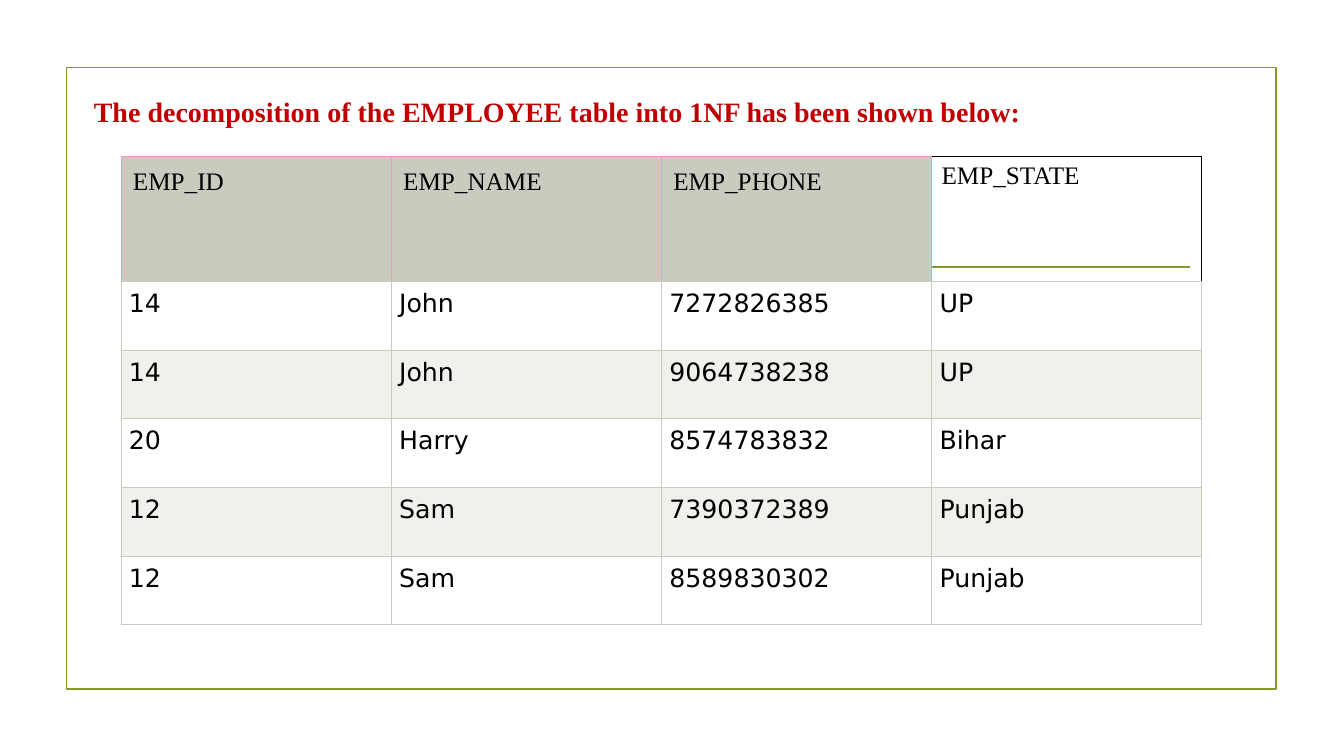
from dataclasses import dataclass

from lxml.etree import SubElement
from pptx import Presentation
from pptx.dml.color import RGBColor
from pptx.enum.shapes import MSO_CONNECTOR, MSO_SHAPE
from pptx.enum.text import MSO_ANCHOR, MSO_AUTO_SIZE, PP_ALIGN
from pptx.oxml.ns import qn
from pptx.util import Cm, Pt


@dataclass(frozen=True)
class Theme:
    olive: str = "83992A"
    red: str = "C00000"
    black: str = "000000"
    white: str = "FFFFFF"
    sage: str = "C7CCBE"
    pale: str = "EFF1EB"
    pink: str = "F095CF"
    serif: str = "Times New Roman"
    sans: str = "DejaVu Sans"
    head: int = 20
    body: int = 18
    rule: float = 1.25
    thin: float = 0.75


THEME = Theme()
TITLE = "The decomposition of the EMPLOYEE table into 1NF has been shown below:"
ROWS = [
    ("EMP_ID", "EMP_NAME", "EMP_PHONE", "EMP_STATE"),
    ("14", "John", "7272826385", "UP"),
    ("14", "John", "9064738238", "UP"),
    ("20", "Harry", "8574783832", "Bihar"),
    ("12", "Sam", "7390372389", "Punjab"),
    ("12", "Sam", "8589830302", "Punjab"),
]
GRID = dict.fromkeys("LRTB", THEME.sage)
HEAD = {"L": THEME.pink, "R": THEME.pink, "T": THEME.pink, "B": THEME.sage}
STATE = {"L": THEME.pink, "R": THEME.black, "T": THEME.black, "B": THEME.sage}


def apply(item, values):
    for name, value in values.items():
        setattr(item, name, value)


def style(font, face, size, color, bold=False):
    apply(font, {"name": face, "size": Pt(size), "bold": bold})
    font.color.rgb = RGBColor.from_string(color)


def stroke(line):
    line.color.rgb = RGBColor.from_string(THEME.olive)
    line.width = Pt(THEME.rule)


def add_frame(slide):
    frame = slide.shapes.add_shape(
        MSO_SHAPE.RECTANGLE, Cm(1.68), Cm(1.7), Cm(30.48), Cm(15.67))
    frame.shadow.inherit = False
    frame.fill.background()
    stroke(frame.line)


def add_rule(slide):
    rule = slide.shapes.add_connector(
        MSO_CONNECTOR.STRAIGHT, Cm(3.89), Cm(6.73), Cm(30), Cm(6.73))
    stroke(rule.line)
    SubElement(rule.element.spPr, qn("a:effectLst"))


def set_title(slide):
    title = slide.shapes.title
    slide.shapes.element.append(title.element)
    apply(title, {"left": Cm(2.11), "top": Cm(1.93),
                  "width": Cm(28.17), "height": Cm(1.73)})
    frame = title.text_frame
    frame.text = TITLE
    apply(frame, {"word_wrap": True, "auto_size": MSO_AUTO_SIZE.NONE,
                  "vertical_anchor": MSO_ANCHOR.MIDDLE})
    line = frame.paragraphs[0]
    line.alignment = PP_ALIGN.LEFT
    style(line.runs[0].font, THEME.serif, THEME.head, THEME.red, True)


def edge(cell, sides):
    props = cell._tc.get_or_add_tcPr()
    for side, color in sides.items():
        line = SubElement(props, qn(f"a:ln{side}"), w=str(Pt(THEME.thin)))
        fill = SubElement(line, qn("a:solidFill"))
        SubElement(fill, qn("a:srgbClr"), val=color)


def fill_cell(cell, text, face, sides, color, pad_x, pad_y):
    cell.text = text
    apply(cell, {"margin_left": Cm(pad_x), "margin_right": Cm(pad_x),
                 "margin_top": Cm(pad_y), "margin_bottom": Cm(pad_y)})
    style(cell.text_frame.paragraphs[0].runs[0].font,
          face, THEME.body, THEME.black)
    edge(cell, sides)
    if color:
        cell.fill.solid()
        cell.fill.fore_color.rgb = RGBColor.from_string(color)
    else:
        cell.fill.background()


def look(row, col):
    if row:
        band = THEME.white if row % 2 else THEME.pale
        return THEME.sans, GRID, band, 0.2, 0.2
    if col == len(ROWS[0]) - 1:
        return THEME.serif, STATE, None, 0.25, 0.13
    return THEME.serif, HEAD, THEME.sage, 0.3, 0.3


def add_grid(slide):
    table = slide.shapes.add_table(
        len(ROWS), len(ROWS[0]), Cm(3.05), Cm(3.94), Cm(27.24), Cm(11.8)).table
    apply(table, {"first_row": False, "horz_banding": False})
    for col in table.columns:
        col.width = Cm(6.81)
    for row, texts in enumerate(ROWS):
        table.rows[row].height = Cm(1.73 if row else 3.15)
        for col, text in enumerate(texts):
            fill_cell(table.cell(row, col), text, *look(row, col))


def main():
    deck = Presentation()
    apply(deck, {"slide_width": Cm(33.87), "slide_height": Cm(19.05)})
    slide = deck.slides.add_slide(deck.slide_layouts.get_by_name("Title Only"))
    add_frame(slide)
    add_rule(slide)
    set_title(slide)
    add_grid(slide)
    deck.save("out.pptx")


if __name__ == "__main__":
    main()
